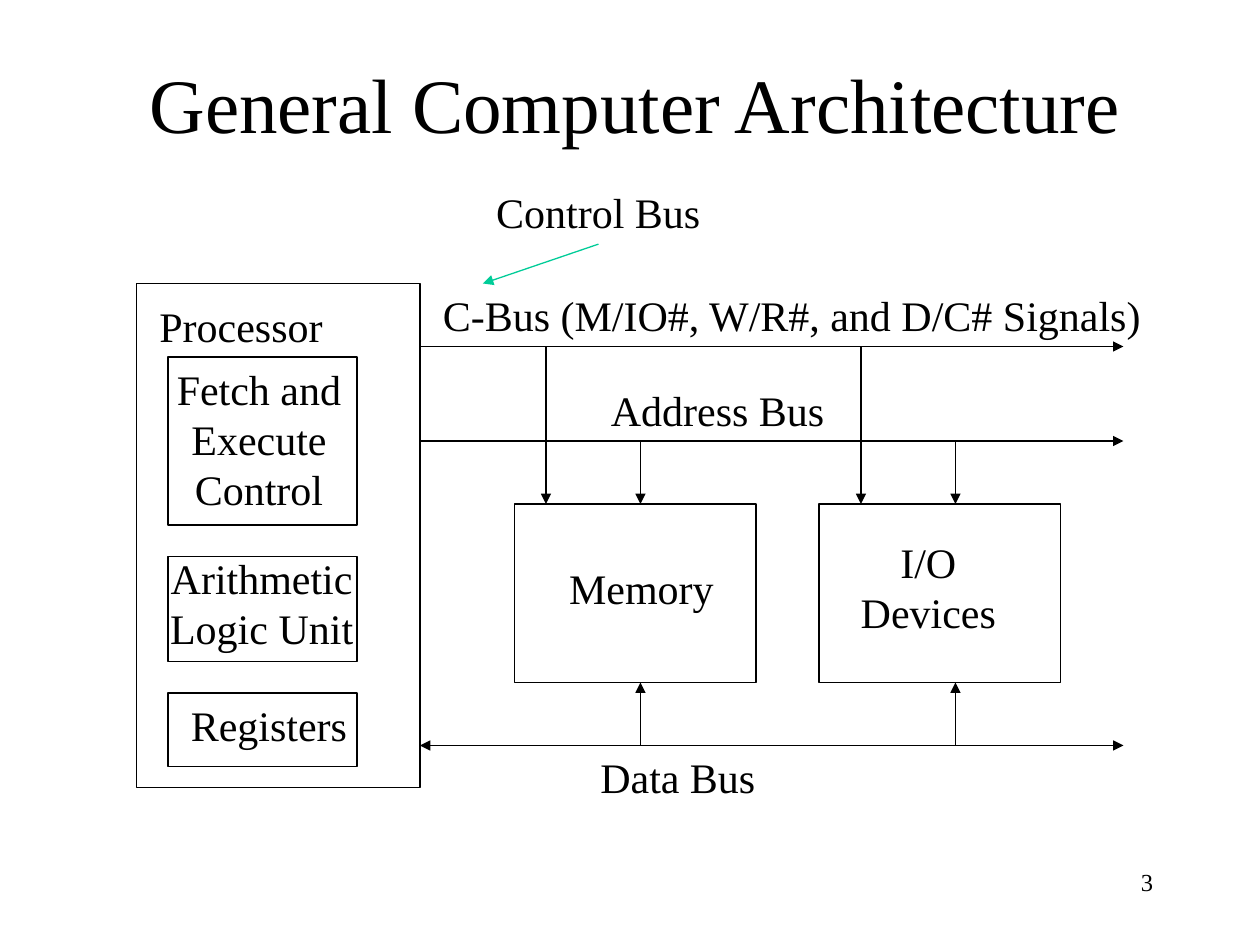
from typing import NamedTuple

from lxml.etree import SubElement
from pptx import Presentation
from pptx.dml.color import RGBColor
from pptx.enum.shapes import MSO_CONNECTOR, MSO_SHAPE
from pptx.enum.text import MSO_ANCHOR, MSO_AUTO_SIZE, PP_ALIGN
from pptx.oxml.ns import qn
from pptx.slide import Slide
from pptx.util import Pt

BLACK = RGBColor(0x00, 0x00, 0x00)
GREEN = RGBColor(0x00, 0xCC, 0x98)
FONT = "Times New Roman"
LINE_WIDTH = 0.75
LEADING = 1.2

PROCESSOR_RIGHT, BUS_RIGHT = 240, 642
CONTROL_Y, ADDRESS_Y, DATA_Y = 198, 252, 426
UNIT_TOP, UNIT_HEIGHT, UNIT_WIDTH = 288, 102, 138
UNIT_BOTTOM = UNIT_TOP + UNIT_HEIGHT
PART_LEFT, PART_WIDTH = 96, 108


class Block(NamedTuple):
    left: float
    top: float
    width: float
    height: float


class Label(NamedTuple):
    text: str
    left: float
    top: float
    width: float
    height: float = 36
    align: PP_ALIGN = PP_ALIGN.LEFT
    size: float = 24
    wrap: bool = False
    anchor: MSO_ANCHOR = MSO_ANCHOR.TOP


class Arrow(NamedTuple):
    start_x: float
    start_y: float
    end_x: float
    end_y: float
    color: RGBColor = BLACK
    both_ends: bool = False


BLOCKS = [
    Block(78, 162, 162, 288),
    Block(294, UNIT_TOP, UNIT_WIDTH, UNIT_HEIGHT),
    Block(468, UNIT_TOP, UNIT_WIDTH, UNIT_HEIGHT),
    Block(PART_LEFT, 204, PART_WIDTH, 96),
    Block(PART_LEFT, 318, PART_WIDTH, 60),
    Block(PART_LEFT, 396, PART_WIDTH, 42),
]

BUSES = [
    Arrow(PROCESSOR_RIGHT, CONTROL_Y, BUS_RIGHT, CONTROL_Y),
    Arrow(PROCESSOR_RIGHT, ADDRESS_Y, BUS_RIGHT, ADDRESS_Y),
    Arrow(PROCESSOR_RIGHT, DATA_Y, BUS_RIGHT, DATA_Y, both_ends=True),
]

TAPS = [
    Arrow(x + shift, start, x + shift, end)
    for x in (312, 492)
    for shift, start, end in (
        (0, CONTROL_Y, UNIT_TOP),
        (54, ADDRESS_Y, UNIT_TOP),
        (54, DATA_Y, UNIT_BOTTOM),
    )
]

POINTER = Arrow(342, 139.5, 276, 162, GREEN)

LABELS = [
    Label("General Computer Architecture", 57, 13.5, 612, 90,
          PP_ALIGN.CENTER, 44, True, MSO_ANCHOR.MIDDLE),
    Label("Processor", 84, 168, 109),
    Label("Fetch and\nExecute\nControl", 92, 204, 112, 93.6, PP_ALIGN.CENTER),
    Label("Arithmetic\nLogic Unit", 89, 312, 121, 64.8, PP_ALIGN.CENTER),
    Label("Registers", 102, 396, 105),
    Label("Control Bus", 276.5, 103, 133),
    Label("C-Bus (M/IO#, W/R#, and D/C# Signals)", 246, 162, 415),
    Label("Address Bus", 342, 216, 138),
    Label("Memory", 317, 318, 99, align=PP_ALIGN.CENTER),
    Label("I/O\nDevices", 484, 303, 93, 64.8, PP_ALIGN.CENTER),
    Label("Data Bus", 336, 426, 105),
    Label("3", 516, 492, 150, align=PP_ALIGN.RIGHT, size=14, wrap=True),
]


def draw_block(page: Slide, block: Block) -> None:
    """Draw an unfilled outlined rectangle."""
    box = page.shapes.add_shape(MSO_SHAPE.RECTANGLE, *map(Pt, block))
    box.shadow.inherit = False
    box.fill.background()
    box.line.color.rgb = BLACK
    box.line.width = Pt(LINE_WIDTH)


def draw_arrow(page: Slide, arrow: Arrow) -> None:
    """Draw a straight line with a triangle at its end, or at both ends."""
    line = page.shapes.add_connector(MSO_CONNECTOR.STRAIGHT, *map(Pt, arrow[:4]))
    line.line.color.rgb = arrow.color
    line.line.width = Pt(LINE_WIDTH)
    outline = line.line._get_or_add_ln()
    if arrow.both_ends:
        SubElement(outline, qn("a:headEnd"), type="triangle")
    SubElement(outline, qn("a:tailEnd"), type="triangle")
    SubElement(line._element.spPr, qn("a:effectLst"))


def draw_label(page: Slide, label: Label) -> None:
    """Write a label, one paragraph for each line of its text."""
    box = page.shapes.add_textbox(
        Pt(label.left), Pt(label.top), Pt(label.width), Pt(label.height))
    frame = box.text_frame
    frame.word_wrap = label.wrap
    if not label.wrap:
        frame.auto_size = MSO_AUTO_SIZE.SHAPE_TO_FIT_TEXT
    frame.vertical_anchor = label.anchor
    frame.text = label.text
    for para in frame.paragraphs:
        para.alignment = label.align
        para.line_spacing = Pt(label.size * LEADING)
        for span in para.runs:
            span.font.name = FONT
            span.font.size = Pt(label.size)
            span.font.color.rgb = BLACK


def main() -> None:
    """Build the architecture slide and save it."""
    deck = Presentation()
    deck.slide_width, deck.slide_height = Pt(720), Pt(540)
    page = deck.slides.add_slide(deck.slide_layouts[6])
    for block in BLOCKS:
        draw_block(page, block)
    for arrow in [*BUSES, *TAPS, POINTER]:
        draw_arrow(page, arrow)
    for label in LABELS:
        draw_label(page, label)
    deck.save("out.pptx")


if __name__ == "__main__":
    main()
